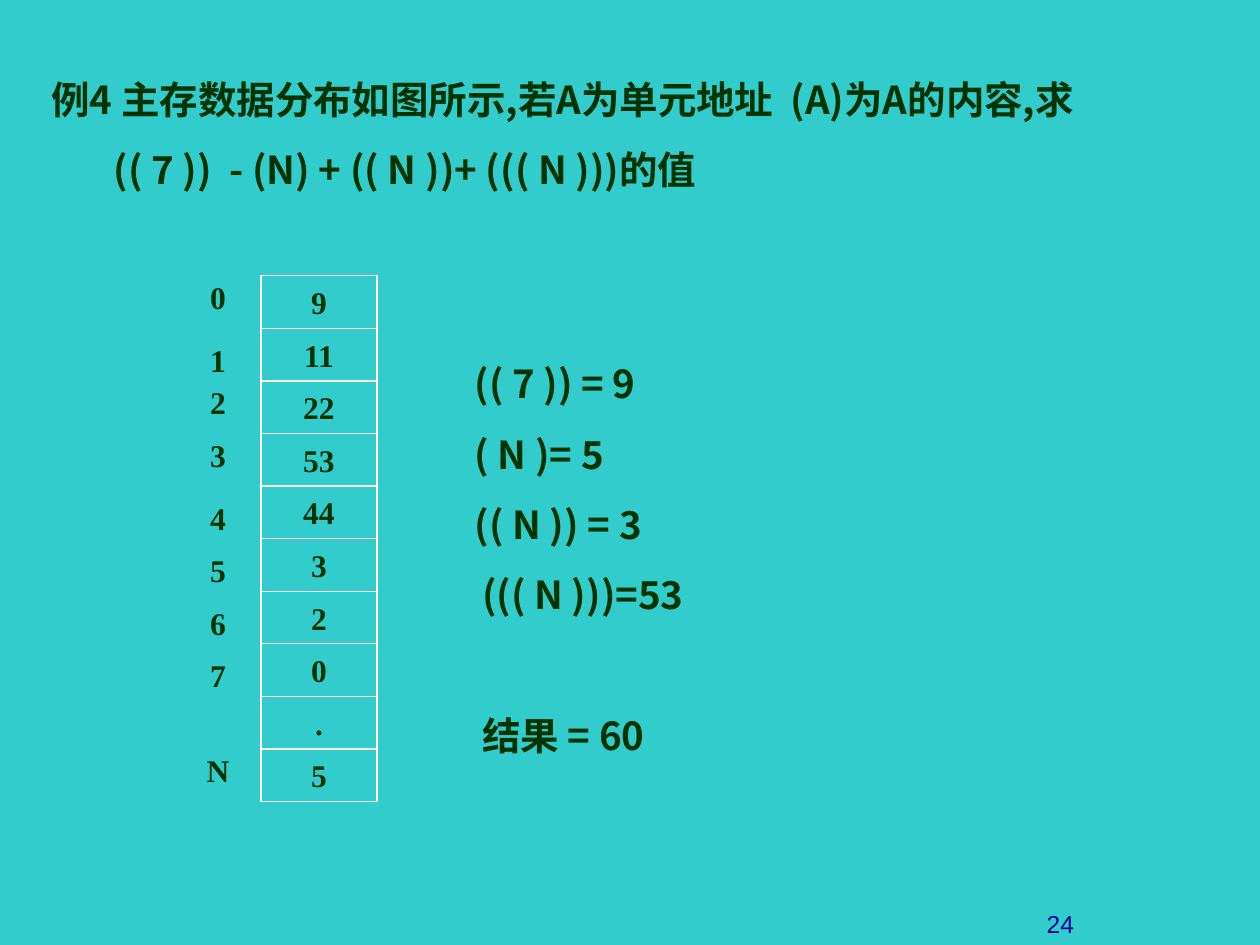
from dataclasses import dataclass
from typing import Any

from lxml.etree import SubElement
from pptx import Presentation
from pptx.dml.color import RGBColor
from pptx.enum.shapes import MSO_SHAPE as Shape
from pptx.enum.text import MSO_ANCHOR as Anchor, PP_ALIGN as Align
from pptx.oxml.ns import qn
from pptx.util import Cm, Pt


@dataclass(frozen=True)
class Theme:
    background: RGBColor = RGBColor(0x33, 0xCC, 0xCC)
    ink: RGBColor = RGBColor(0x00, 0x33, 0x00)
    rule: RGBColor = RGBColor(0xFF, 0xFF, 0xFF)
    number: RGBColor = RGBColor(0x00, 0x00, 0x99)
    body_font: str = "Noto Sans CJK SC"
    cell_font: str = "Times New Roman"
    number_font: str = "Arial"
    body_size: Pt = Pt(22)
    cell_size: Pt = Pt(18)
    number_size: Pt = Pt(14)
    line_height: Pt = Pt(26.4)
    gap: Pt = Pt(13.8)


THEME = Theme()
BODY = {"name": THEME.body_font, "size": THEME.body_size, "bold": True}
CELL = {"name": THEME.cell_font, "size": THEME.cell_size, "bold": True}
NUMBER = {"name": THEME.number_font, "size": THEME.number_size, "bold": False}


@dataclass(frozen=True)
class Line:
    text: str
    indent: float = 0
    before: Pt = THEME.gap


@dataclass(frozen=True)
class MemoryCell:
    address: str
    value: str
    label_drop: float = 0


def set_values(target: Any, values: dict[str, Any]) -> None:
    for name, value in values.items():
        setattr(target, name, value)


def add_span(para: Any, text: str, style: dict[str, Any], color: RGBColor) -> None:
    span = para.add_run()
    span.text = text
    set_values(span.font, style)
    span.font.color.rgb = color
    SubElement(span.font._element, qn("a:ea"), typeface=style["name"])


def add_label(box: Any, text: str, style: dict[str, Any], color: RGBColor,
              anchor: Anchor = Anchor.MIDDLE) -> None:
    set_values(box.text_frame, {"word_wrap": False, "vertical_anchor": anchor})
    para = box.text_frame.paragraphs[0]
    para.alignment = Align.CENTER
    add_span(para, text, style, color)


def add_lines(page: Any, place: tuple[float, ...], lines: list[Line]) -> None:
    frame = page.shapes.add_textbox(*map(Cm, place)).text_frame
    frame.word_wrap = True
    for index, line in enumerate(lines):
        para = frame.add_paragraph() if index else frame.paragraphs[0]
        para.line_spacing = THEME.line_height
        if index:
            para.space_before = line.before
        if line.indent:
            para._p.get_or_add_pPr().set("marL", str(Cm(line.indent)))
        add_span(para, line.text, BODY, THEME.ink)


def add_memory(page: Any, cells: list[MemoryCell]) -> None:
    label_left, cell_left, top = 3.76, 5.26, 5.56
    row_height, label_height = 1.06, 0.85
    column = page.shapes.add_group_shape().shapes
    addresses = page.shapes.add_group_shape().shapes
    for row, cell in enumerate(cells):
        y = top + row * row_height
        box = column.add_shape(Shape.RECTANGLE, Cm(cell_left), Cm(y), Cm(2.34), Cm(row_height))
        box.shadow.inherit = False
        box.fill.solid()
        box.fill.fore_color.rgb = THEME.background
        box.line.color.rgb = THEME.rule
        box.line.width = Pt(0.75)
        add_label(box, cell.value, CELL, THEME.ink)
        if cell.address:
            label = addresses.add_textbox(Cm(label_left), Cm(y + cell.label_drop),
                                          Cm(1.27), Cm(label_height))
            add_label(label, cell.address, CELL, THEME.ink)


def main() -> None:
    deck = Presentation()
    set_values(deck, {"slide_width": Cm(25.4), "slide_height": Cm(19.05)})
    page = deck.slides.add_slide(deck.slide_layouts[6])
    page.background.fill.solid()
    page.background.fill.fore_color.rgb = THEME.background

    # Slide number
    number = page.shapes.add_textbox(Cm(17.35), Cm(17.73), Cm(8.05), Cm(1.32))
    add_label(number, "24", NUMBER, THEME.number, Anchor.BOTTOM)

    # Question
    add_lines(page, (0.79, 1.4, 23.29, 3.53), [
        Line("例4 主存数据分布如图所示,若A为单元地址  (A)为A的内容,求"),
        Line("(( 7 ))  - (N) + (( N ))+ ((( N )))的值", indent=1.25),
    ])

    # Memory column with addresses; some labels sit lower in their row
    low = 0.21
    add_memory(page, [
        MemoryCell("0", "9"),
        MemoryCell("1", "11", low),
        MemoryCell("2", "22"),
        MemoryCell("3", "53"),
        MemoryCell("4", "44", low),
        MemoryCell("5", "3", low),
        MemoryCell("6", "2", low),
        MemoryCell("7", "0", low),
        MemoryCell("", "."),
        MemoryCell("N", "5"),
    ])

    # Solution steps and the result, one line further down
    add_lines(page, (9.32, 7.14, 12.9, 8.28), [
        Line("(( 7 )) = 9"),
        Line("( N )= 5"),
        Line("(( N )) = 3"),
        Line("((( N )))=53", indent=0.15),
        Line("结果 = 60", indent=0.15, before=THEME.gap * 2 + THEME.line_height),
    ])

    deck.save("out.pptx")


if __name__ == "__main__":
    main()
